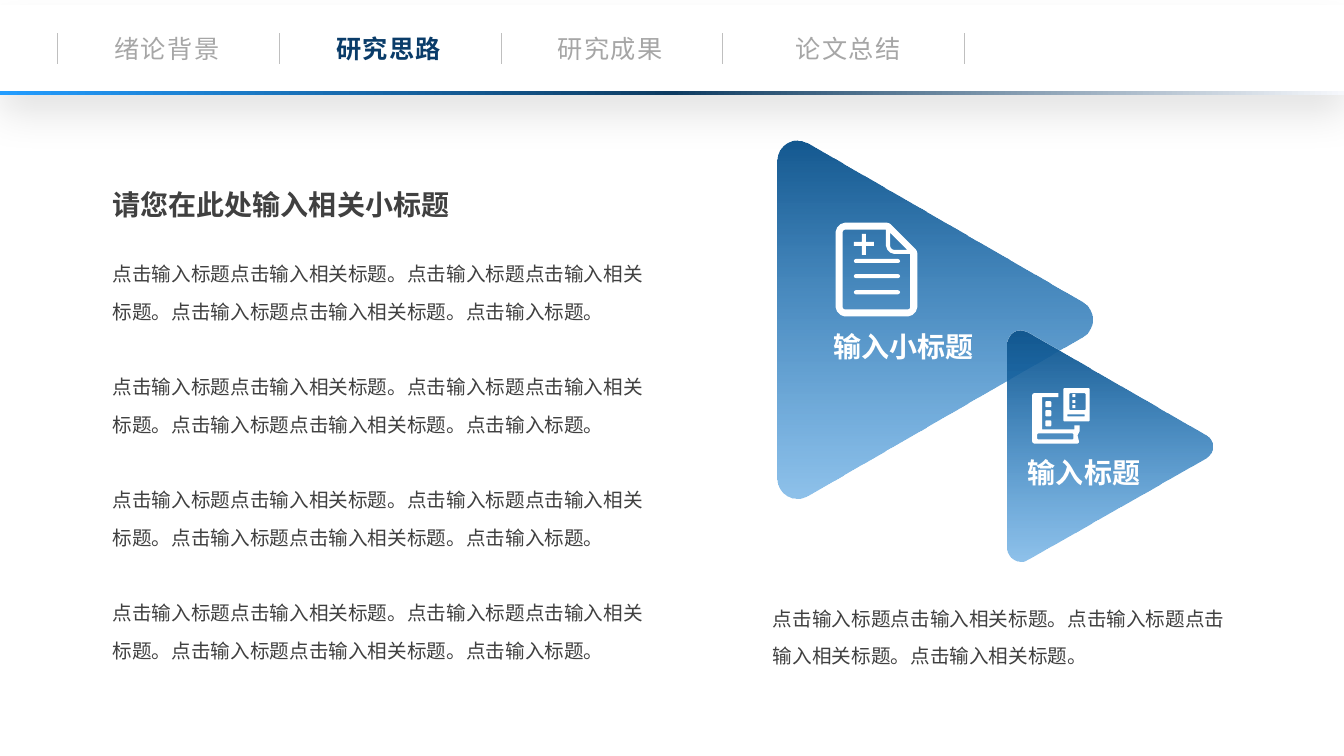
from math import dist

from lxml import etree
from pptx import Presentation
from pptx import util as u
from pptx.dml.color import RGBColor
from pptx.enum import shapes, text
from pptx.oxml.ns import qn

COLORS = {
    "white": "FFFFFF", "ink": "404040", "tab": "A6A6A6", "divider": "BFBFBF",
    "active": "0A3C69", "deep": "145991", "bright": "1D83D5",
    "bar_left": "239DFF", "bar_middle": "0D3B61", "bar_right": "F6F8FC",
}
FONT = "Noto Sans CJK SC"
SLIDE_WIDTH = 40 / 3


def write_text(frame, paragraphs, size=14, color="ink", bold=False, align=None,
               line_spacing=None, gap=0, spacing=0):
    """Fill a text frame; gap separates paragraphs, spacing tracks letters (points)."""
    for index, content in enumerate(paragraphs):
        paragraph = frame.add_paragraph() if index else frame.paragraphs[0]
        paragraph.alignment = align
        if line_spacing:
            paragraph.line_spacing = line_spacing
        if index and gap:
            paragraph.space_before = u.Pt(gap)
        run = paragraph.add_run()
        run.text = content
        font = run.font
        font.name, font.size, font.bold = FONT, u.Pt(size), bold
        font.color.rgb = RGBColor.from_string(COLORS[color])
        properties = run._r.get_or_add_rPr()
        etree.SubElement(properties, qn("a:ea"), typeface=FONT)
        if spacing:
            properties.set("spc", str(spacing * 100))


def box(left, top, right, bottom):
    return [(left, top), (right, top), (right, bottom), (left, bottom)]


def round_corners(points, cuts, pull=0.45):
    """Replace each corner by a Bezier curve that starts its cut (inches) before it."""
    outline = []
    for index, (corner, cut) in enumerate(zip(points, cuts)):
        if not cut:
            outline.append(corner)
            continue
        ends = []
        for neighbour in (points[index - 1], points[(index + 1) % len(points)]):
            length = dist(corner, neighbour)
            share = min(cut, length / 2) / length
            ends.append([c + (n - c) * share for c, n in zip(corner, neighbour)])
        start, end = ends
        steps = 8 if cut > 0.1 else 3 if cut > 0.03 else 2
        for step in range(steps + 1):
            t = step / steps
            outline.append(tuple(
                (1 - t) ** 3 * s + 3 * (1 - t) ** 2 * t * (s + (c - s) * pull)
                + 3 * (1 - t) * t ** 2 * (e + (c - e) * pull) + t ** 3 * e
                for s, c, e in zip(start, corner, end)))
    return outline


class SlideBuilder:
    def __init__(self, presentation):
        self.slide = presentation.slides.add_slide(presentation.slide_layouts[6])
        self.shapes = self.slide.shapes

    def text(self, left, top, width, height, paragraphs, wrap=True,
             anchor=text.MSO_ANCHOR.TOP, **style):
        shape = self.shapes.add_textbox(*map(u.Inches, (left, top, width, height)))
        shape.text_frame.word_wrap = wrap
        shape.text_frame.vertical_anchor = anchor
        write_text(shape.text_frame, paragraphs, **style)

    def solid(self, shape, color):
        shape.shadow.inherit = False
        shape.fill.solid()
        shape.fill.fore_color.rgb = RGBColor.from_string(COLORS[color])
        shape.line.fill.background()

    def gradient(self, shape, angle, stops):
        """Each stop is (position %, color, opacity %)."""
        shape.shadow.inherit = False
        shape.line.fill.background()
        shape.fill.gradient()
        shape.fill.gradient_angle = angle
        stop_list = shape._element.spPr.find(".//" + qn("a:gsLst"))
        stop_list.clear()
        for position, color, opacity in stops:
            stop = etree.SubElement(stop_list, qn("a:gs"), pos=str(position * 1000))
            fill = etree.SubElement(stop, qn("a:srgbClr"), val=COLORS[color])
            if opacity < 100:
                etree.SubElement(fill, qn("a:alpha"), val=str(opacity * 1000))

    def rectangle(self, left, top, width, height):
        return self.shapes.add_shape(shapes.MSO_SHAPE.RECTANGLE,
                                     *map(u.Inches, (left, top, width, height)))

    def outline(self, contours):
        """Each contour is (points, cut or list of cuts); nested ones become holes."""
        builder = None
        for points, cut in contours:
            cuts = cut if isinstance(cut, list) else [cut] * len(points)
            first, *rest = [tuple(map(u.Inches, point))
                            for point in round_corners(points, cuts)]
            if builder is None:
                builder = self.shapes.build_freeform(*first, scale=1.0)
            else:
                builder.move_to(*first)
            builder.add_line_segments(rest, close=True)
        return builder.convert_to_shape()

    def divider(self, x, top, bottom):
        line = self.shapes.add_connector(shapes.MSO_CONNECTOR.STRAIGHT,
                                         *map(u.Inches, (x, top, x, bottom)))
        line.line.color.rgb = RGBColor.from_string(COLORS["divider"])
        line.line.width = u.Pt(0.5)
        etree.SubElement(line._element.spPr, qn("a:effectLst"))

    def soft_shadow(self, shape, opacity, blur, distance):
        effects = shape._element.spPr.find(qn("a:effectLst"))
        shadow = etree.SubElement(effects, qn("a:outerShdw"), blurRad=str(u.Pt(blur)),
                                  dist=str(u.Pt(distance)), dir="5400000",
                                  algn="t", rotWithShape="0")
        color = etree.SubElement(shadow, qn("a:srgbClr"), val="000000")
        etree.SubElement(color, qn("a:alpha"), val=str(opacity * 1000))


def main():
    presentation = Presentation()
    presentation.slide_width = u.Inches(SLIDE_WIDTH)
    presentation.slide_height = u.Inches(7.5)
    builder = SlideBuilder(presentation)

    # White content panel
    panel = builder.rectangle(0.4, 0.4, 12.54, 6.7)
    builder.solid(panel, "white")
    panel.line.color.rgb = RGBColor.from_string(COLORS["white"])
    panel.line.width = u.Pt(2.25)

    # Left column
    builder.text(1.02, 1.83, 5.13, 0.41, ["请您在此处输入相关小标题"], size=20, bold=True,
                 anchor=text.MSO_ANCHOR.BOTTOM)
    sentence = "点击输入标题点击输入相关标题。"
    builder.text(1.02, 2.41, 5.65, 4.2, [sentence * 3 + "点击输入标题。"] * 4,
                 line_spacing=1.6, gap=27)

    # Caption under the triangles
    builder.text(7.57, 5.83, 4.8, 0.81, [sentence * 2 + "点击输入相关标题。"],
                 line_spacing=1.6)

    # Triangles and their labels
    triangles = [
        ([(7.71, 1.25), (11.04, 3.17), (7.71, 5.09)], 0.35),
        ([(10, 3.18), (12.16, 4.43), (10, 5.67)], 0.23),
    ]
    for triangle in triangles:
        builder.gradient(builder.outline([triangle]), 270,
                         [(0, "deep", 100), (100, "bright", 50)])
    for left, top, label in [(8.17, 3.22, "输入小标题"), (10.1, 4.47, "输入标题")]:
        builder.text(left, top, 1.77, 0.44, [label], size=20, color="white", bold=True,
                     anchor=text.MSO_ANCHOR.MIDDLE)

    # Document icon
    plus = [(8.55, 2.32), (8.59, 2.32), (8.59, 2.4), (8.67, 2.4), (8.67, 2.44),
            (8.59, 2.44), (8.59, 2.53), (8.55, 2.53), (8.55, 2.44), (8.47, 2.44),
            (8.47, 2.4), (8.55, 2.4)]
    document = [
        ([(8.29, 2.21), (8.82, 2.21), (9.1, 2.49), (9.1, 3.14), (8.29, 3.14)],
         [0.09, 0.02, 0.02, 0.09, 0.09]),
        ([(8.36, 2.28), (8.79, 2.28), (8.79, 2.52), (9.03, 2.52), (9.03, 3.07),
          (8.36, 3.07)], [0.02, 0, 0.08, 0, 0.02, 0.02]),
        ([(8.83, 2.31), (9, 2.48), (8.83, 2.48)], [0, 0, 0.04]),
        (plus, 0),
    ] + [(box(8.47, y, 8.93, y + 0.04), 0.02) for y in (2.57, 2.72, 2.88)]

    # Books icon
    cover = [(10.24, 3.9), (10.5, 3.9), (10.5, 3.94), (10.34, 3.94), (10.34, 4.26),
             (10.66, 4.26), (10.66, 4.22), (10.71, 4.22), (10.71, 4.28),
             (10.69, 4.32), (10.71, 4.4), (10.24, 4.4)]
    books = [
        (cover, [0.02] + [0] * 9 + [0.02] * 2),
        (box(10.29, 4.3, 10.65, 4.36), 0.01),
        (box(10.55, 3.85, 10.81, 4.18), 0.01),
        (box(10.61, 3.9, 10.77, 4.07), 0.01),
        (box(10.59, 4.11, 10.76, 4.13), 0),
    ]
    books += [(box(10.37, y, 10.43, y + 0.06), 0.01) for y in (3.98, 4.07, 4.17)]
    books += [(box(10.64, y, 10.67, y + 0.03), 0) for y in (3.91, 3.97, 4.02)]
    for icon in (books, document):
        builder.solid(builder.outline(icon), "white")

    # Header band with tabs
    header = builder.rectangle(0, 0.05, SLIDE_WIDTH, 0.87)
    builder.solid(header, "white")
    builder.soft_shadow(header, opacity=11, blur=28, distance=15)
    for x in (0.57, 2.77, 4.97, 7.17, 9.57):
        builder.divider(x, 0.33, 0.64)
    tabs = [(1.02, "绪论背景"), (3.22, "研究思路"), (5.42, "研究成果"), (7.78, "论文总结")]
    for left, label in tabs:
        active = label == "研究思路"
        builder.text(left, 0.28, 1.27, 0.4, [label], wrap=False, size=18, bold=active,
                     color="active" if active else "tab",
                     align=text.PP_ALIGN.CENTER, spacing=1)
    builder.gradient(builder.rectangle(0, 0.9, SLIDE_WIDTH, 0.04), 0,
                     [(0, "bar_left", 100), (50, "bar_middle", 100),
                      (100, "bar_right", 100)])

    presentation.save("out.pptx")


if __name__ == "__main__":
    main()
